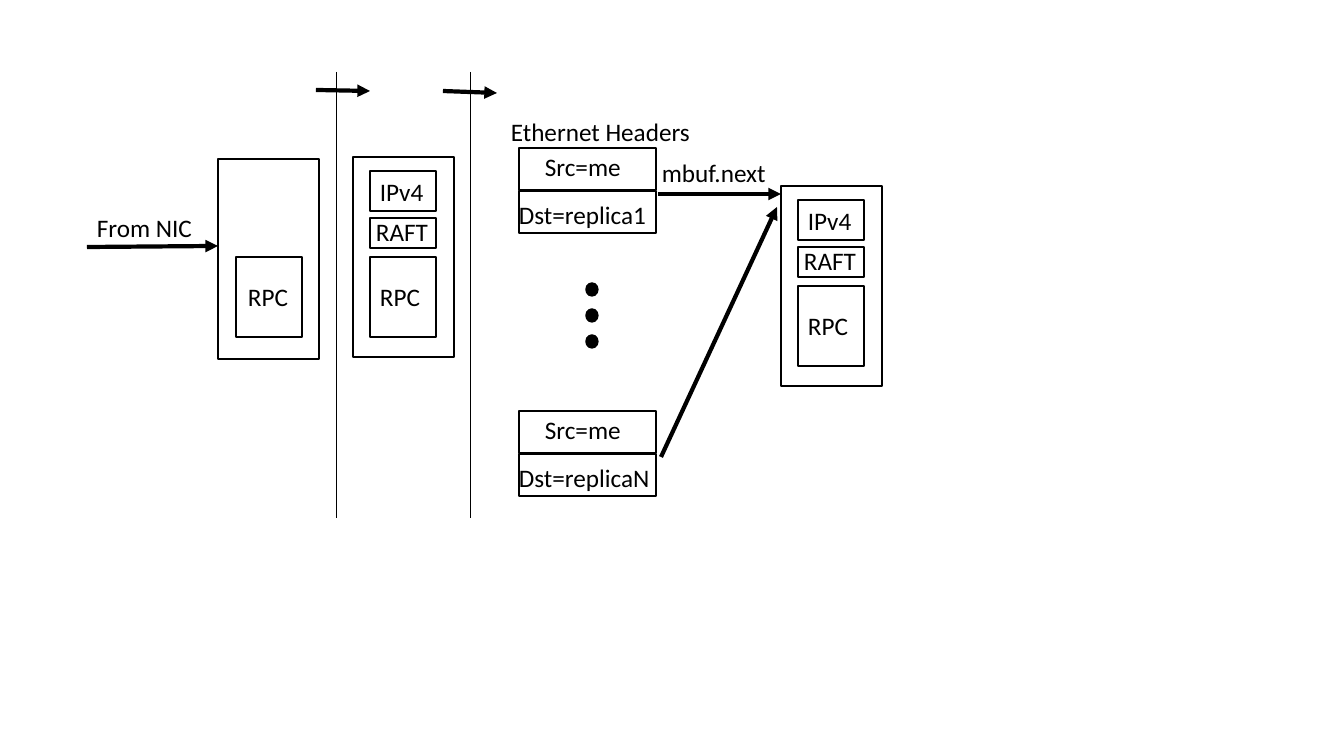
from typing import NamedTuple

from lxml import etree
from pptx import Presentation
from pptx.dml.color import RGBColor
from pptx.enum.shapes import MSO_CONNECTOR, MSO_SHAPE
from pptx.enum.text import MSO_AUTO_SIZE
from pptx.oxml.ns import qn
from pptx.util import Emu, Pt

RECT, OVAL = MSO_SHAPE.RECTANGLE, MSO_SHAPE.OVAL
STRAIGHT = MSO_CONNECTOR.STRAIGHT
FIT_TEXT = MSO_AUTO_SIZE.SHAPE_TO_FIT_TEXT
EMU_PER_PX = 914400 / 100.8
BLACK = "000000"
FONT = "Calibri"
LABEL_H = 40


class Line(NamedTuple):
    x1: int
    y1: int
    x2: int
    y2: int
    width: float = 3
    arrow: bool = True


class Label(NamedTuple):
    text: str
    x: int
    y: int
    w: int


class Field(NamedTuple):
    """A packet field: box and label, both relative to the packet."""
    x: int
    y: int
    h: int
    label: Label


class Packet(NamedTuple):
    x: int
    y: int
    fields: list[Field]


class Header(NamedTuple):
    y: int
    dst: str
    dst_w: int


def px(n: float) -> Emu:
    return Emu(round(n * EMU_PER_PX))


def color(value: str) -> RGBColor:
    return RGBColor.from_string(value)


def add_box(shapes, x: int, y: int, w: int, h: int, kind=RECT, fill: str = "") -> None:
    sp = shapes.add_shape(kind, px(x), px(y), px(w), px(h))
    sp.shadow.inherit = False
    if fill:
        sp.fill.solid()
        sp.fill.fore_color.rgb = color(fill)
    else:
        sp.fill.background()
    sp.line.color.rgb = color(BLACK)
    sp.line.width = Pt(1)


def add_label(shapes, label: Label, dx: int = 0, dy: int = 0) -> None:
    tb = shapes.add_textbox(px(label.x + dx), px(label.y + dy), px(label.w), px(LABEL_H))
    tf = tb.text_frame
    tf.text = label.text
    tf.word_wrap = False
    tf.auto_size = FIT_TEXT
    font = tf.paragraphs[0].runs[0].font
    font.name, font.size = FONT, Pt(18)
    font.color.rgb = color(BLACK)


def add_line(shapes, line: Line) -> None:
    cx = shapes.add_connector(STRAIGHT, px(line.x1), px(line.y1), px(line.x2), px(line.y2))
    cx.line.color.rgb = color(BLACK)
    cx.line.width = Pt(line.width)
    if line.arrow:
        etree.SubElement(cx.line._get_or_add_ln(), qn("a:tailEnd"), type="triangle")
    etree.SubElement(cx._element.spPr, qn("a:effectLst"))


def add_packet(shapes, packet: Packet) -> None:
    group = shapes.add_group_shape().shapes
    add_box(group, packet.x, packet.y, 101, 200)
    for field in packet.fields:
        add_box(group, packet.x + field.x, packet.y + field.y, 66, field.h)
        add_label(group, field.label, packet.x, packet.y)


def add_header(shapes, header: Header) -> None:
    for row in range(2):
        add_box(shapes, 519, header.y + 43 * row, 137, 42)
    add_label(shapes, Label("Src=me", 535, header.y - 2, 97))
    add_label(shapes, Label(header.dst, 509, header.y + 46, header.dst_w))


RECEIVED = [Field(18, 98, 80, Label("RPC", 20, 117, 60))]
WRAPPED = [
    Field(17, 100, 80, Label("RPC", 17, 119, 60)),
    Field(17, 61, 30, Label("RAFT", 13, 54, 73)),
    Field(17, 14, 40, Label("IPv4", 17, 14, 65)),
]
PACKETS = [Packet(218, 159, RECEIVED), Packet(353, 157, WRAPPED), Packet(781, 186, WRAPPED)]
HEADERS = [Header(148, "Dst=replica1", 149), Header(411, "Dst=replicaN", 152)]
LABELS = [
    Label("From NIC", 87, 207, 117),
    Label("mbuf.next", 652, 152, 125),
    Label("Ethernet Headers", 501, 111, 202),
]
LINES = [
    Line(336, 72, 336, 518, 0.5, False),  # stage dividers
    Line(470, 72, 470, 518, 0.5, False),
    Line(316, 90, 370, 91),  # stage transitions
    Line(443, 91, 497, 93),
    Line(87, 247, 218, 246),  # from NIC
    Line(658, 194, 781, 194),  # headers to shared packet
    Line(661, 457, 777, 207),
]

prs = Presentation()
prs.slide_width, prs.slide_height = px(1344), px(756)
s = prs.slides.add_slide(prs.slide_layouts[6])

# Packets and Ethernet headers
for packet in PACKETS:
    add_packet(s.shapes, packet)
for header in HEADERS:
    add_header(s.shapes, header)

# Ellipsis between the headers
for i in range(3):
    add_box(s.shapes, 586, 283 + 26 * i, 12, 13, OVAL, BLACK)

# Dividers, arrows and captions
for line in LINES:
    add_line(s.shapes, line)
for label in LABELS:
    add_label(s.shapes, label)

prs.save("out.pptx")
